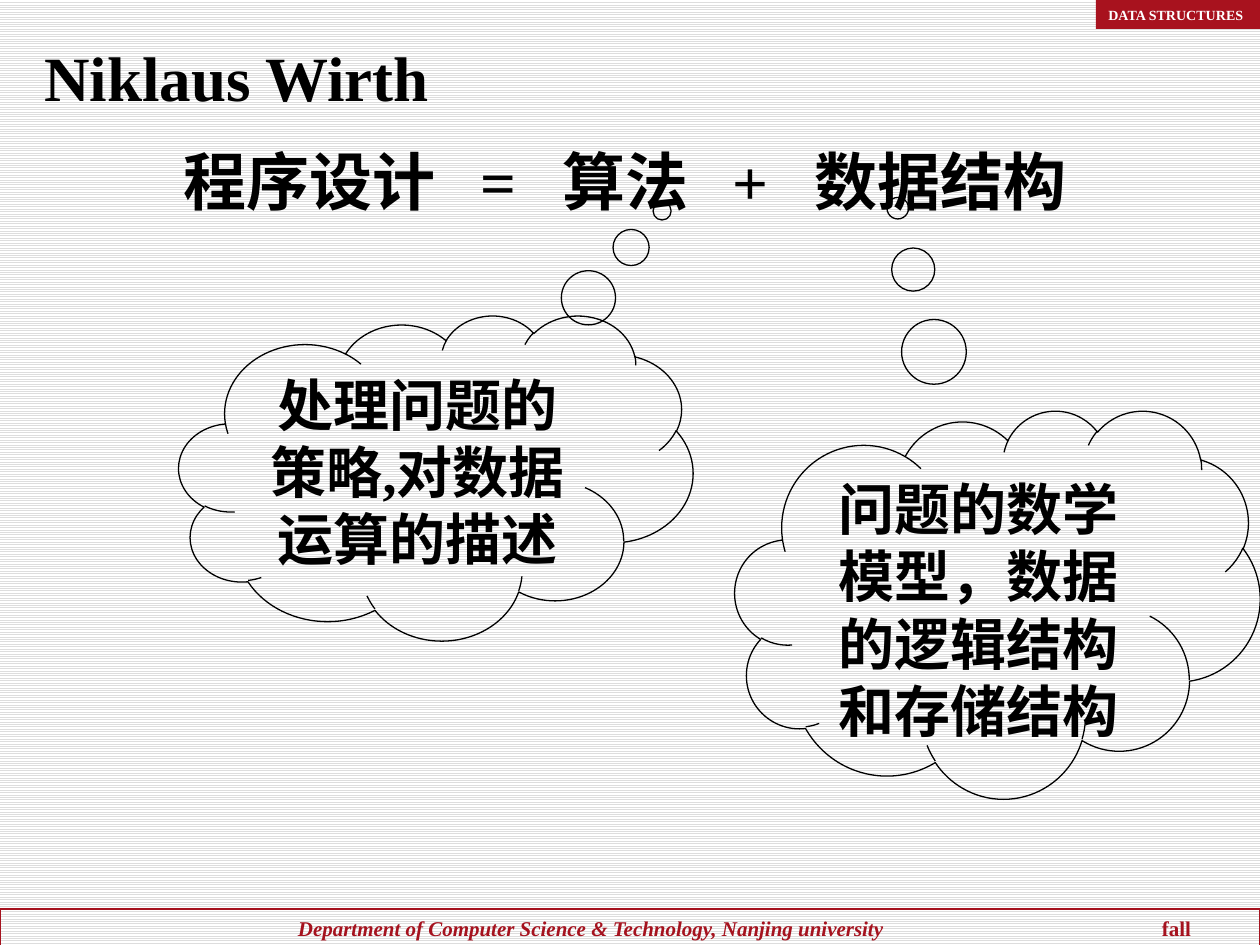
from lxml import etree
from pptx import Presentation
from pptx import util as u
from pptx.dml.color import RGBColor
from pptx.enum import dml, shapes, text
from pptx.oxml.ns import qn

SCALE = 914400 / 126
COLORS = {
    "ink": "000000",
    "paper": "FFFFFF",
    "stripe": "DDDDDD",
    "red": "A5121E",
    "tag": "A8121E",
}


def px(n):
    return u.Emu(round(n * SCALE))


def rgb(name):
    return RGBColor.from_string(COLORS[name])


def write(sp, *parts, size=36, color="ink", align=text.PP_ALIGN.LEFT,
          anchor=text.MSO_ANCHOR.TOP, left=None, tabs=()):
    """Fill a shape with bold (wording, italic) parts; tabs are (px, alignment)."""
    tf = sp.text_frame
    tf.word_wrap = True
    tf.vertical_anchor = anchor
    if left is not None:
        tf.margin_left = px(left)
        tf.margin_right = 0
    p = tf.paragraphs[0]
    p.alignment = align
    if tabs:
        tab_list = etree.SubElement(p._p.get_or_add_pPr(), qn("a:tabLst"))
        for pos, algn in tabs:
            etree.SubElement(tab_list, qn("a:tab"), pos=str(px(pos)), algn=algn)
    for wording, italic in parts:
        r = p.add_run()
        r.text = wording
        r.font.name = "Times New Roman"
        r.font.size = u.Pt(size)
        r.font.bold = True
        r.font.italic = italic
        r.font.color.rgb = rgb(color)


class Deck:
    def __init__(self):
        self.prs = Presentation()
        self.prs.slide_width = px(1260)
        self.prs.slide_height = px(945)
        self.s = self.prs.slides.add_slide(self.prs.slide_layouts[6])

    def background(self):
        fill = self.s.background.fill
        fill.patterned()
        fill.pattern = dml.MSO_PATTERN.LIGHT_HORIZONTAL
        fill.fore_color.rgb = rgb("stripe")
        fill.back_color.rgb = rgb("paper")

    def shape(self, kind, box, fill=None, line=None):
        sp = self.s.shapes.add_shape(kind, *map(px, box))
        sp.shadow.inherit = False
        if fill:
            sp.fill.solid()
            sp.fill.fore_color.rgb = rgb(fill)
        else:
            sp.fill.background()
        if line:
            sp.line.color.rgb = rgb(line)
            sp.line.width = u.Pt(0.75)
        else:
            sp.line.fill.background()
        return sp

    def bar(self, box, *parts, fill=None, line=None, **style):
        sp = self.shape(shapes.MSO_SHAPE.RECTANGLE, box, fill, line)
        write(sp, *parts, anchor=text.MSO_ANCHOR.MIDDLE, **style)

    def label(self, box, wording, **style):
        sp = self.s.shapes.add_textbox(*map(px, box))
        write(sp, (wording, False), **style)

    def thought(self, box, tail, wording):
        """Cloud whose tail is an offset from its centre, in shares of its size."""
        sp = self.shape(shapes.MSO_SHAPE.CLOUD_CALLOUT, box, line="ink")
        sp.adjustments[0], sp.adjustments[1] = tail
        write(sp, (wording, False), size=32, align=text.PP_ALIGN.CENTER)


def main():
    deck = Deck()
    deck.background()
    deck.bar((0, 909, 1260, 39),
             ("Department of Computer Science & Technology, Nanjing university", True),
             ("\tfall", False),
             line="red", size=12, color="red", left=298, tabs=[(864, "l")])
    deck.bar((1096, 0, 164, 29), ("DATA STRUCTURES", False),
             fill="tag", size=8, color="paper")
    deck.label((184, 116, 900, 128), "程序设计\t=\t算法\t+\t数据结构",
               anchor=text.MSO_ANCHOR.MIDDLE, left=0,
               tabs=[(314, "ctr"), (379, "l"), (566, "ctr"), (631, "l")])
    deck.thought((179, 315, 514, 325), (0.44, -0.82),
                 "处理问题的策略,对数据运算的描述")
    deck.thought((735, 410, 525, 388), (-0.19, -1.02),
                 "问题的数学模型，数据的逻辑结构和存储结构")
    deck.label((32, 32, 861, 88), "Niklaus Wirth")
    deck.prs.save("out.pptx")


if __name__ == "__main__":
    main()
